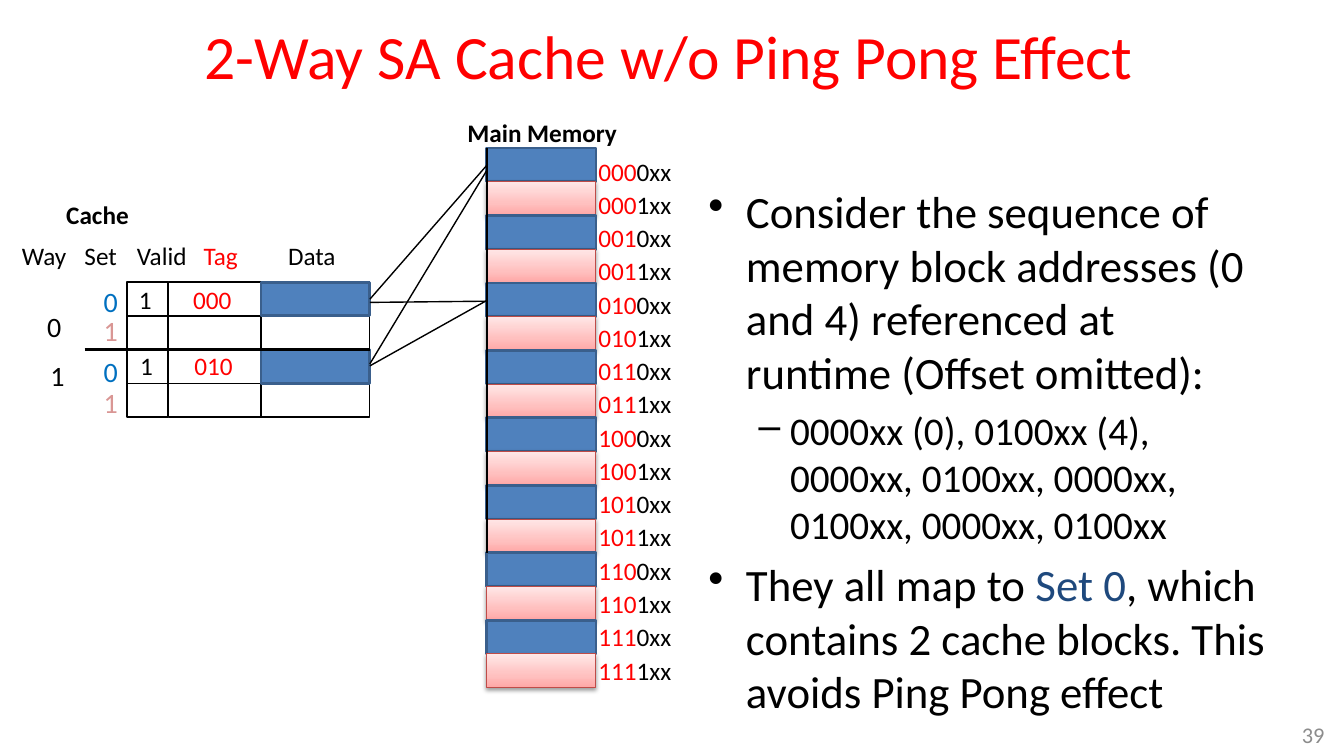
from pptx import Presentation
from pptx.dml.color import RGBColor
from pptx.enum.shapes import MSO_CONNECTOR, MSO_SHAPE
from pptx.enum.text import MSO_ANCHOR, PP_ALIGN
from pptx.oxml import parse_xml
from pptx.oxml.ns import nsdecls, qn
from pptx.util import Cm, Pt

LINE = MSO_CONNECTOR.STRAIGHT
RECT = MSO_SHAPE.RECTANGLE
TOP, MIDDLE = MSO_ANCHOR.TOP, MSO_ANCHOR.MIDDLE
LEFT, CENTER, RIGHT = PP_ALIGN.LEFT, PP_ALIGN.CENTER, PP_ALIGN.RIGHT

FONT = "Calibri"
BLACK = RGBColor(0x00, 0x00, 0x00)
RED = RGBColor(0xFF, 0x00, 0x00)
GRAY = RGBColor(0x8C, 0x8C, 0x8C)
NAVY = RGBColor(0x1F, 0x49, 0x7D)
SKY = RGBColor(0x00, 0x70, 0xC0)
ROSE = RGBColor(0xD9, 0x96, 0x94)
BLUE = RGBColor(0x4F, 0x81, 0xBD)
EDGE = RGBColor(0x3A, 0x5F, 0x8C)
BRICK = RGBColor(0xBF, 0x4C, 0x48)
PINKS = [(0, "FFA6A5"), (35, "FFC0BF"), (100, "FFE7E7")]

# Content; all lengths in cm
TITLE = "2-Way SA Cache w/o Ping Pong Effect "
# level, runs
POINTS = [
    (0, [("Consider the sequence of memory block addresses (0 and 4) "
          "referenced at runtime (Offset omitted):", BLACK)]),
    (1, [("0000xx (0), 0100xx (4), 0000xx, 0100xx, 0000xx, 0100xx, "
          "0000xx, 0100xx", BLACK)]),
    (0, [("They all map to ", BLACK), ("Set 0", NAVY),
         (", which contains 2 cache blocks. This avoids Ping Pong effect",
          BLACK)]),
]
# bullet, size, margin, hanging indent
LEVELS = [("•", 32, 0.95, 0.95), ("–", 28, 2.06, 0.79)]
# text, left, top, width, size, colour, bold
LABELS = [
    ("Cache", 1.42, 4.9, 2.11, 18, BLACK, True),
    ("Main Memory", 11.53, 2.84, 4.32, 18, BLACK, True),
    ("Way", 0.3, 5.94, 1.65, 18, BLACK, False),
    ("Set", 1.88, 5.94, 1.35, 18, BLACK, False),
    ("Valid", 3.2, 5.94, 1.78, 18, BLACK, False),
    ("Tag", 4.88, 5.94, 1.37, 18, RED, False),
    ("Data", 7.01, 5.94, 1.73, 18, BLACK, False),
    ("0", 0.94, 7.67, 0.86, 20, BLACK, False),
    ("1", 1.02, 8.92, 0.86, 20, BLACK, False),
    ("0", 2.36, 7.04, 0.86, 20, SKY, False),
    ("1", 2.36, 7.77, 0.86, 20, ROSE, False),
    ("0", 2.36, 8.81, 0.86, 20, SKY, False),
    ("1", 2.36, 9.58, 0.86, 20, ROSE, False),
    ("1", 3.25, 7.04, 0.84, 18, BLACK, False),
    ("000", 4.62, 7.04, 1.5, 18, RED, False),
    ("1", 3.28, 8.71, 0.84, 18, BLACK, False),
    ("010", 4.65, 8.71, 1.5, 18, RED, False),
]
COLS = [3.2, 4.24, 6.58, 9.32]  # edges of valid, tag, data
ROW = 0.85
CACHE_Y, CACHE_ROWS = 7.11, 4
MEM_X, MEM_Y, MEM_W, MEM_ROWS = 12.27, 3.73, 2.75, 16
# memory block to cache block
LINKS = [
    (12.29, 4.14, 9.32, 7.54),
    (12.27, 4.29, 9.32, 9.17),
    (12.27, 7.57, 9.32, 9.22),
    (12.24, 7.59, 9.32, 7.62),
]

deck = Presentation()
deck.slide_width, deck.slide_height = Cm(33.87), Cm(19.05)
slide = deck.slides.add_slide(deck.slide_layouts[5])
shapes = slide.shapes


def add_run(para, text, size, color, bold=False):
    run = para.add_run()
    run.text = text
    font = run.font
    font.name, font.size, font.bold = FONT, Pt(size), bold
    font.color.rgb = color


def add_box(x, y, w, h, wrap=True, anchor=TOP):
    box = shapes.add_textbox(Cm(x), Cm(y), Cm(w), Cm(h))
    frame = box.text_frame
    frame.word_wrap, frame.vertical_anchor = wrap, anchor
    return frame


def add_line(x1, y1, x2, y2, width=1):
    line = shapes.add_connector(LINE, Cm(x1), Cm(y1), Cm(x2), Cm(y2))
    line.line.color.rgb, line.line.width = BLACK, Pt(width)
    line._element.spPr.append(parse_xml(f"<a:effectLst {nsdecls('a')}/>"))


def add_rect(x, y, w, h, color, width):
    rect = shapes.add_shape(RECT, Cm(x), Cm(y), Cm(w), Cm(h))
    rect.shadow.inherit = False
    rect.fill.background()
    rect.line.color.rgb, rect.line.width = color, Pt(width)
    return rect


def add_blue(x, y, w):
    block = add_rect(x, y, w, ROW, EDGE, 2)
    block.fill.solid()
    block.fill.fore_color.rgb = BLUE


def add_pink(x, y, w):
    block = add_rect(x, y, w, ROW, BRICK, 0.75)
    props = block._element.spPr
    stops = "".join(
        f'<a:gs pos="{pos * 1000}"><a:srgbClr val="{color}"/></a:gs>'
        for pos, color in PINKS)
    props.replace(props.find(qn("a:noFill")), parse_xml(
        f'<a:gradFill {nsdecls("a")} rotWithShape="1"><a:gsLst>{stops}'
        '</a:gsLst><a:lin ang="16200000" scaled="0"/></a:gradFill>'))
    props.find(qn("a:effectLst")).append(parse_xml(
        f'<a:outerShdw {nsdecls("a")} blurRad="40000" dist="20000" '
        'dir="5400000" rotWithShape="0"><a:srgbClr val="000000">'
        '<a:alpha val="38000"/></a:srgbClr></a:outerShdw>'))


# Title
head = shapes.title
head.left, head.top, head.width, head.height = (
    Cm(3.89), Cm(0.23), Cm(26.31), Cm(2.62))
head.text_frame.vertical_anchor = MIDDLE
para = head.text_frame.paragraphs[0]
para.alignment, para.line_spacing = CENTER, 0.85
add_run(para, TITLE, 44, RED)

# Bullet points
frame = add_box(17.6, 4.5, 14.58, 12.57)
for i, (level, runs) in enumerate(POINTS):
    mark, size, margin, hang = LEVELS[level]
    para = frame.add_paragraph() if i else frame.paragraphs[0]
    para.level = level
    para.space_before = Pt(size * 0.2 if i else 0)
    props = para._p.get_or_add_pPr()
    props.set("marL", str(Cm(margin)))
    props.set("indent", str(-Cm(hang)))
    props.append(parse_xml(f'<a:buChar {nsdecls("a")} char="{mark}"/>'))
    for text, color in runs:
        add_run(para, text, size, color)

# Main memory
for i in range(MEM_ROWS):
    add_block = add_pink if i % 2 else add_blue
    add_block(MEM_X, MEM_Y + i * ROW, MEM_W)
add_line(MEM_X, MEM_Y, MEM_X, MEM_Y + 12 * ROW)

# Memory addresses
frame = add_box(14.83, 3.73, 2.74, 13.79)
for i in range(MEM_ROWS):
    para = frame.add_paragraph() if i else frame.paragraphs[0]
    para.line_spacing = 1.1
    bits = f"{i:04b}"
    add_run(para, bits[:3], 18, RED)
    add_run(para, bits[3] + "xx", 18, BLACK)

# Cache grid
for left, right in zip(COLS, COLS[1:]):
    add_rect(left, CACHE_Y, right - left, CACHE_ROWS * ROW, BLACK, 1)
    for i in range(1, CACHE_ROWS):
        y = CACHE_Y + i * ROW
        add_line(left, y, right, y)
for i in (0, 2):
    add_blue(COLS[2], CACHE_Y + i * ROW, COLS[3] - COLS[2])
add_line(2.13, CACHE_Y + 2 * ROW, COLS[3], CACHE_Y + 2 * ROW, 2.25)

# Links and labels
for link in LINKS:
    add_line(*link)
for text, x, y, w, size, color, bold in LABELS:
    frame = add_box(x, y, w, 1.02 if size == 18 else 1.12, wrap=False)
    add_run(frame.paragraphs[0], text, size, color, bold)

# Page number
frame = add_box(31.93, 17.98, 1.7, 1.07, anchor=MIDDLE)
frame.paragraphs[0].alignment = RIGHT
add_run(frame.paragraphs[0], "39", 16, GRAY)

deck.save("out.pptx")
